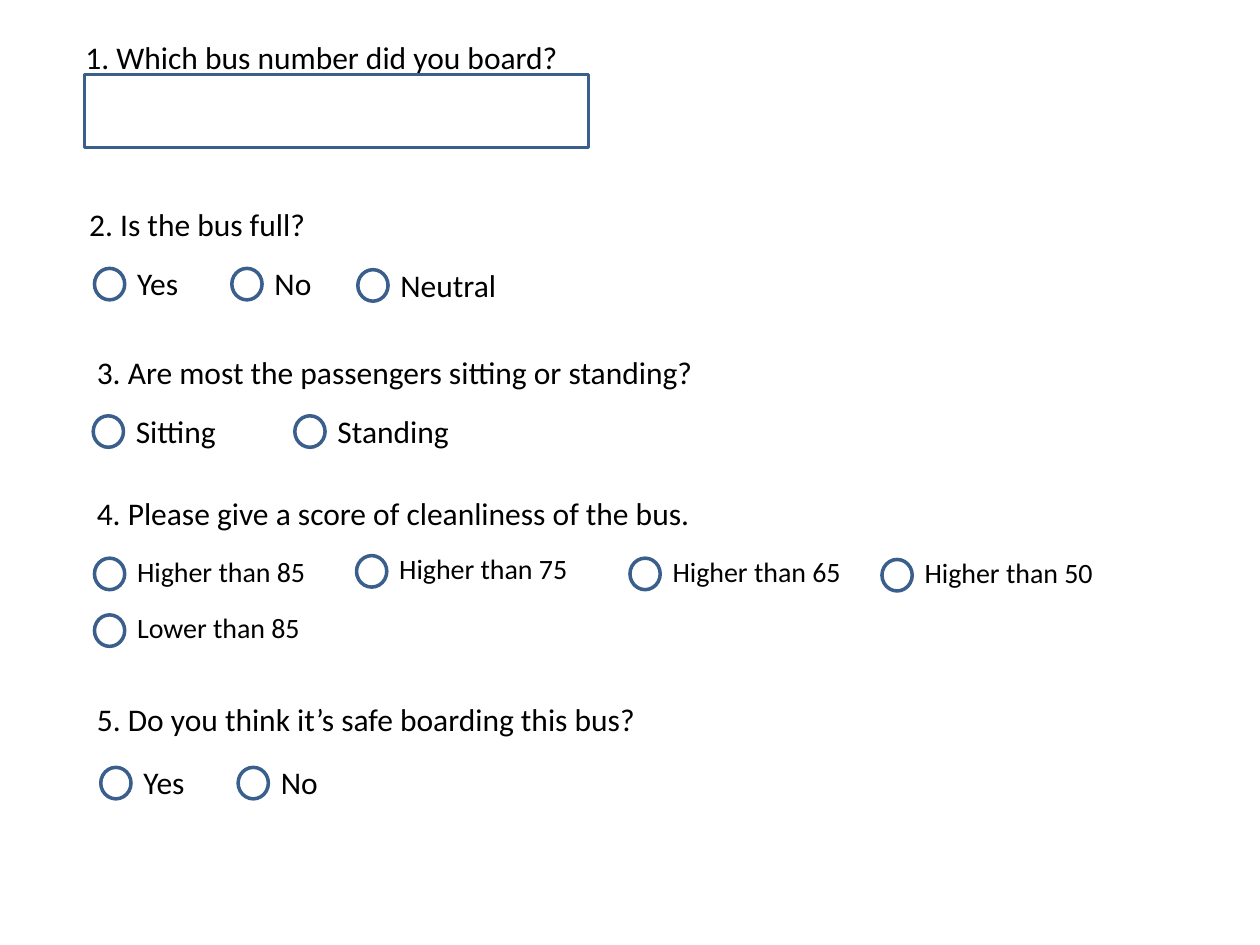
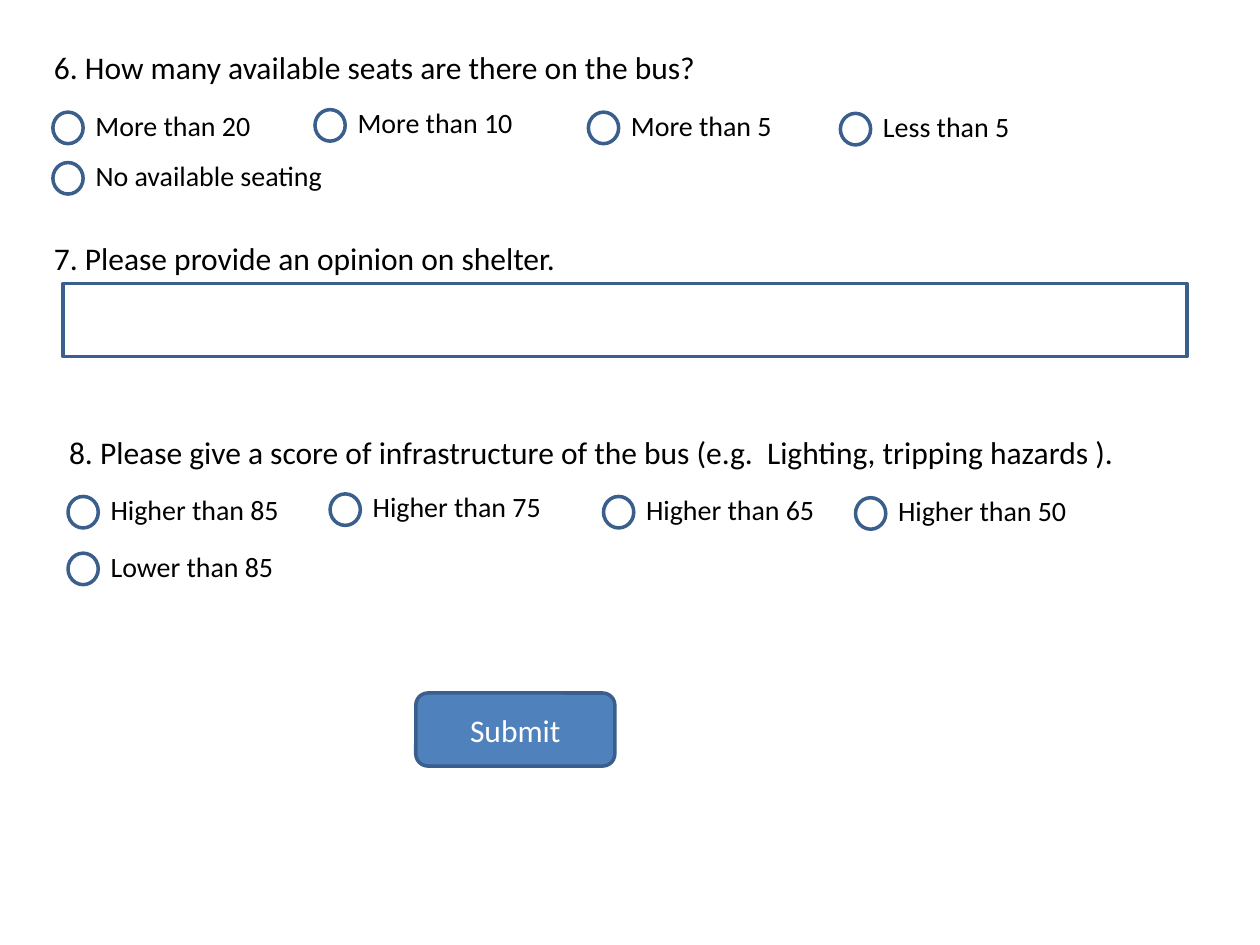
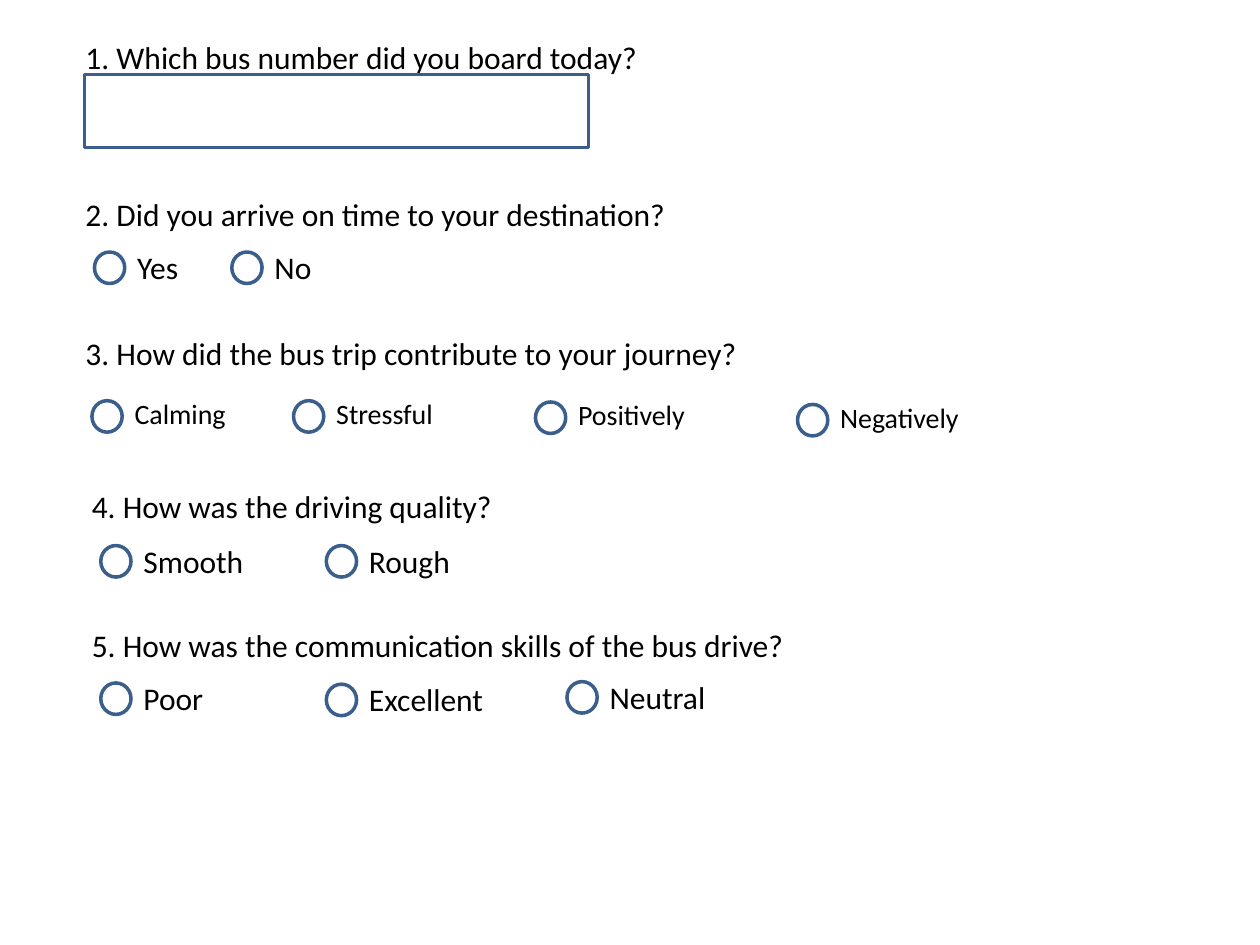
from pptx import Presentation
from pptx.dml.color import RGBColor
from pptx.enum.shapes import MSO_SHAPE as Shape
from pptx.enum.text import MSO_ANCHOR as Anchor, MSO_AUTO_SIZE as AutoSize, PP_ALIGN as Align
from pptx.util import Inches, Pt

COLOURS = {"ink": "000000", "outline": "3A5F8C", "button": "4F81BD", "button_text": "FFFFFF"}
FONT = "Calibri"
LARGE, SMALL = 18, 16
BOX_HEIGHT = 0.58
CIRCLE_WIDTH, CIRCLE_HEIGHT = 0.24, 0.25
LABEL_RISE = 0.08
# Offsets of five answers: four across, with the second and fourth slightly off the line
FIVE_ANSWERS = [(0, 0), (2.08, -0.02), (4.25, 0), (6.25, 0.01)]
SCORES = ["Higher than 85", "Higher than 75", "Higher than 65", "Higher than 50", "Lower than 85"]


def colour(name):
    """Return a palette colour."""
    return RGBColor.from_string(COLOURS[name])


def write(frame, words, size, ink="ink"):
    """Put one styled line of words in a text frame."""
    frame.text = words
    font = frame.paragraphs[0].runs[0].font
    font.name, font.size = FONT, Pt(size)
    font.color.rgb = colour(ink)


def add_words(slide, left, top, width, words, size=LARGE):
    """Add a wrapped line of text that grows with its content."""
    height = 0.4 if size == LARGE else 0.37
    box = slide.shapes.add_textbox(Inches(left), Inches(top), Inches(width), Inches(height))
    box.text_frame.word_wrap = True
    box.text_frame.auto_size = AutoSize.SHAPE_TO_FIT_TEXT
    write(box.text_frame, words, size)


def add_outlined(slide, kind, left, top, width, height, fill=None):
    """Add a preset shape with the form's outline, hollow unless a fill is named."""
    outlined = slide.shapes.add_shape(kind, Inches(left), Inches(top), Inches(width), Inches(height))
    outlined.shadow.inherit = False
    if fill:
        outlined.fill.solid()
        outlined.fill.fore_color.rgb = colour(fill)
    else:
        outlined.fill.background()
    outlined.line.color.rgb = colour("outline")
    outlined.line.width = Pt(2)
    return outlined


def add_answer_box(slide, left, top, width):
    """Add an empty box for a written answer."""
    add_outlined(slide, Shape.RECTANGLE, left, top, width, BOX_HEIGHT)


def add_options(slide, options, size=LARGE):
    """Add radio circles with labels from (left, top, label, label width) rows."""
    for left, top, label, width in options:
        add_outlined(slide, Shape.OVAL, left, top, CIRCLE_WIDTH, CIRCLE_HEIGHT)
        add_words(slide, left + CIRCLE_WIDTH, top - LABEL_RISE, width, label, size)


def add_five_options(slide, left, top, labels, drop=0.45, last_width=1.84):
    """Add four small options across and a fifth one below the first."""
    places = FIVE_ANSWERS + [(0, drop)]
    widths = [1.84] * 4 + [last_width]
    add_options(slide, [(left + dx, top + dy, label, width)
                        for (dx, dy), label, width in zip(places, labels, widths)], SMALL)


def add_yes_no(slide, left, top):
    """Add a Yes and a No option."""
    add_options(slide, [(left, top, "Yes", 0.75), (left + 1.09, top, "No", 0.75)])


def add_bus_number(slide, question, width):
    """Add the opening question on the bus number with its answer box."""
    add_words(slide, 0.58, 0.25, width, question)
    add_answer_box(slide, 0.67, 0.59, 4)


def add_submit(slide):
    """Add the button that ends the form."""
    button = add_outlined(slide, Shape.ROUNDED_RECTANGLE, 3.3, 5.5, 1.58, BOX_HEIGHT, "button")
    write(button.text_frame, "Submit", LARGE, "button_text")
    button.text_frame.vertical_anchor = Anchor.MIDDLE
    button.text_frame.paragraphs[0].alignment = Align.CENTER


def build_bus_condition(slide):
    """Questions 1 to 5 on the state of the bus."""
    add_bus_number(slide, "1. Which bus number did you board?", 4.33)
    add_words(slide, 0.61, 1.58, 2.16, "2. Is the bus full?")
    add_yes_no(slide, 0.75, 2.13)
    add_options(slide, [(2.84, 2.14, "Neutral", 1.34)])
    add_words(slide, 0.67, 2.75, 5, "3. Are most the passengers sitting or standing?")
    add_options(slide, [(0.74, 3.3, "Sitting", 0.97), (2.34, 3.3, "Standing", 1.17)])
    add_words(slide, 0.67, 3.87, 5, "4. Please give a score of cleanliness of the bus.")
    add_five_options(slide, 0.75, 4.43, SCORES)
    add_words(slide, 0.67, 5.51, 5.08, "5. Do you think it\u2019s safe boarding this bus?")
    add_yes_no(slide, 0.8, 6.09)


def build_facilities(slide):
    """Questions 6 to 8 on seats, shelter and infrastructure."""
    add_words(slide, 0.33, 0.33, 5.33, "6. How many available seats are there on the bus?")
    seats = ["More than 20", "More than 10", "More than 5", "Less than 5", "No available seating"]
    add_five_options(slide, 0.42, 0.89, seats, drop=0.4, last_width=2.08)
    add_words(slide, 0.33, 1.85, 5.33, "7. Please provide an opinion on shelter.")
    add_answer_box(slide, 0.5, 2.25, 8.92)
    add_words(slide, 0.45, 3.39, 8.96, "8. Please give a score of infrastructure of the bus "
              "(e.g.  Lighting, tripping hazards ).")
    add_five_options(slide, 0.54, 3.94, SCORES)
    add_submit(slide)


def build_journey(slide):
    """Questions 1 to 5 on the journey and the driver."""
    add_bus_number(slide, "1. Which bus number did you board today?", 4.92)
    add_words(slide, 0.58, 1.5, 4.92, "2. Did you arrive on time to your destination?")
    add_yes_no(slide, 0.75, 2)
    add_words(slide, 0.58, 2.6, 5.58, "3. How did the bus trip contribute to your journey?")
    add_options(slide, [(0.73, 3.18, "Calming", 1.1), (2.33, 3.18, "Stressful", 1.19),
                        (4.25, 3.19, "Positively", 1.26), (6.33, 3.21, "Negatively", 1.27)], SMALL)
    add_words(slide, 0.63, 3.82, 4.92, "4. How was the driving quality?")
    add_options(slide, [(0.8, 4.33, "Smooth", 1.3), (2.59, 4.33, "Rough", 1.17)])
    add_words(slide, 0.63, 4.92, 5.95, "5. How was the communication skills of the bus drive?")
    add_options(slide, [(0.8, 5.42, "Poor", 1.3), (2.59, 5.43, "Excellent", 1.17),
                        (4.5, 5.41, "Neutral", 1.17)])


def main():
    """Build the survey and save it."""
    survey = Presentation()
    survey.slide_width, survey.slide_height = Inches(10), Inches(7.5)
    blank = survey.slide_layouts[6]
    for build in (build_bus_condition, build_facilities, build_journey):
        build(survey.slides.add_slide(blank))
    survey.save("out.pptx")


main()
